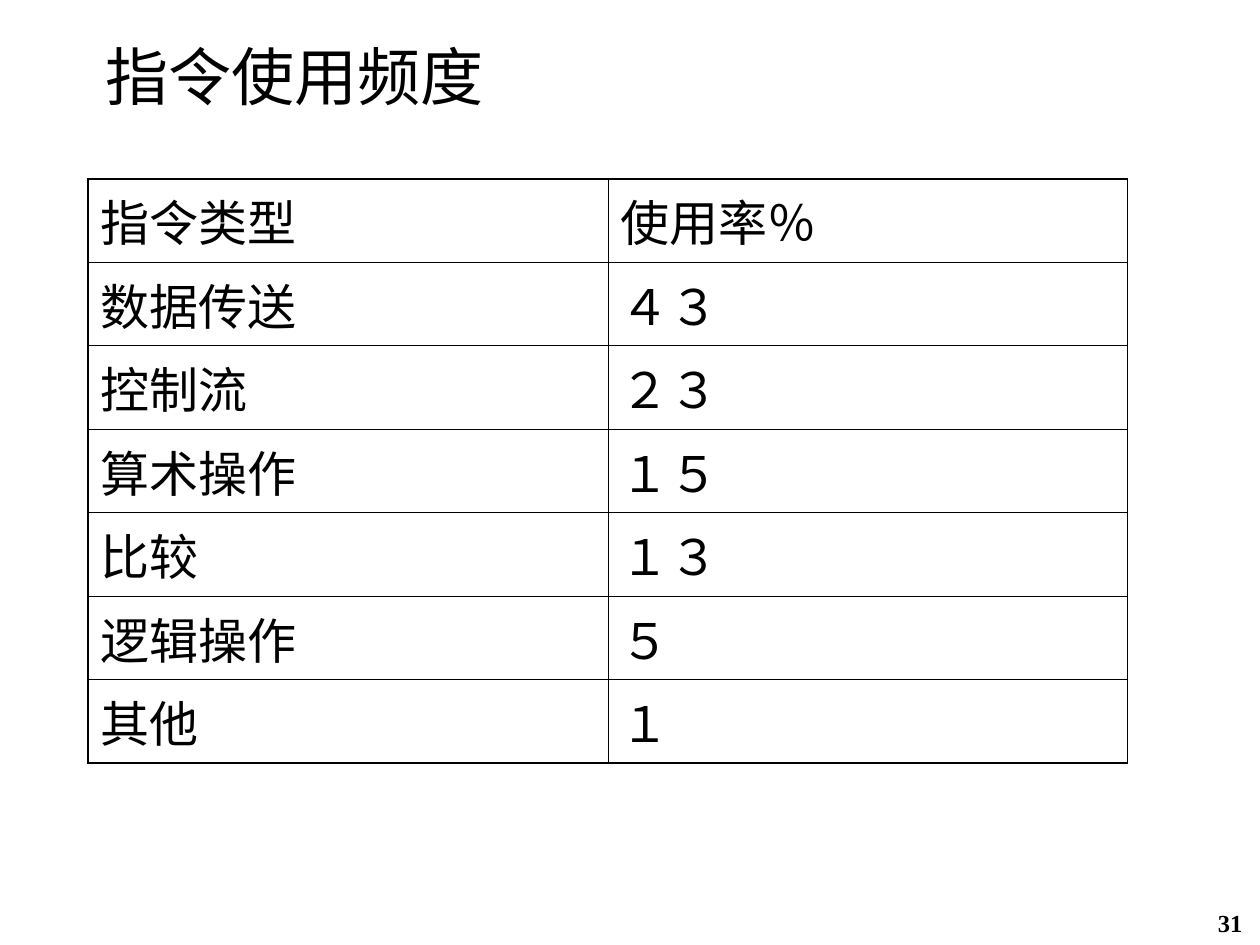
from lxml import etree
from pptx import Presentation, util as u
from pptx.dml.color import RGBColor
from pptx.enum import text
from pptx.oxml import ns

BLACK = RGBColor(0, 0, 0)
INK = RGBColor(1, 0, 0)
WHITE = RGBColor(255, 255, 255)
THICK, THIN = u.Pt(1.08), u.Pt(0.45)
ROWS = [
    ("指令类型", "使用率％"),
    ("数据传送", "４３"),
    ("控制流", "２３"),
    ("算术操作", "１５"),
    ("比较", "１３"),
    ("逻辑操作", "５"),
    ("其他", "１"),
]


def apply(obj, vals):
    for key, val in vals.items():
        setattr(obj, key, val)


def write(frame, words, name, size, color=BLACK, bold=False,
          align=text.PP_ALIGN.LEFT):
    frame.text = words
    para = frame.paragraphs[0]
    para.alignment = align
    font = para.runs[0].font
    apply(font, {"name": name, "size": u.Pt(size), "bold": bold})
    font.color.rgb = color


def place(shape, box):
    apply(shape, dict(zip(("left", "top", "width", "height"), box)))


def add_title(slide, box):
    title = slide.shapes.title
    place(title, box)
    frame = title.text_frame
    apply(frame, {
        "margin_left": u.Inches(0.09), "margin_right": u.Inches(0.09),
        "vertical_anchor": text.MSO_ANCHOR.TOP,
        "auto_size": text.MSO_AUTO_SIZE.NONE, "word_wrap": True,
    })
    write(frame, "指令使用频度", "TeX Gyre Adventor", 36)


def set_edges(cell, edges):
    props = cell._tc.get_or_add_tcPr()
    for spot, (side, width) in enumerate(edges.items()):
        line = etree.Element(ns.qn(f"a:ln{side}"), w=str(width))
        fill = etree.SubElement(line, ns.qn("a:solidFill"))
        etree.SubElement(fill, ns.qn("a:srgbClr"), val=str(BLACK))
        props.insert(spot, line)


def add_rates(slide, box):
    left, top, width, height = box
    count, cols = len(ROWS), len(ROWS[0])
    table = slide.shapes.add_table(
        count, cols, left, top, width, height).table
    apply(table, {"first_row": False, "horz_banding": False})
    for r, row in enumerate(ROWS):
        for c, words in enumerate(row):
            cell = table.cell(r, c)
            cell.fill.background()
            write(cell.text_frame, words, "Arial", 28)
            outer = {"L": c == 0, "R": c == cols - 1,
                     "T": r == 0, "B": r == count - 1}
            set_edges(cell, {side: THICK if out else THIN
                             for side, out in outer.items()})


def add_number(slide, box):
    frame = slide.shapes.add_textbox(*box).text_frame
    frame.word_wrap = True
    write(frame, "31", "Times New Roman", 14, INK, True,
          text.PP_ALIGN.RIGHT)


def inches(*vals):
    return [u.Inches(val) for val in vals]


def main():
    deck = Presentation()
    apply(deck, {"slide_width": u.Inches(10), "slide_height": u.Inches(7.5)})
    slide = deck.slides.add_slide(deck.slide_layouts[5])
    slide.background.fill.solid()
    slide.background.fill.fore_color.rgb = WHITE
    add_title(slide, inches(0.75, 0.25, 8.5, 1.25))
    add_rates(slide, inches(0.7, 1.42, 8.25, 4.44))
    add_number(slide, inches(9.2, 7.16, 0.76, 0.34))
    deck.save("out.pptx")


if __name__ == "__main__":
    main()
